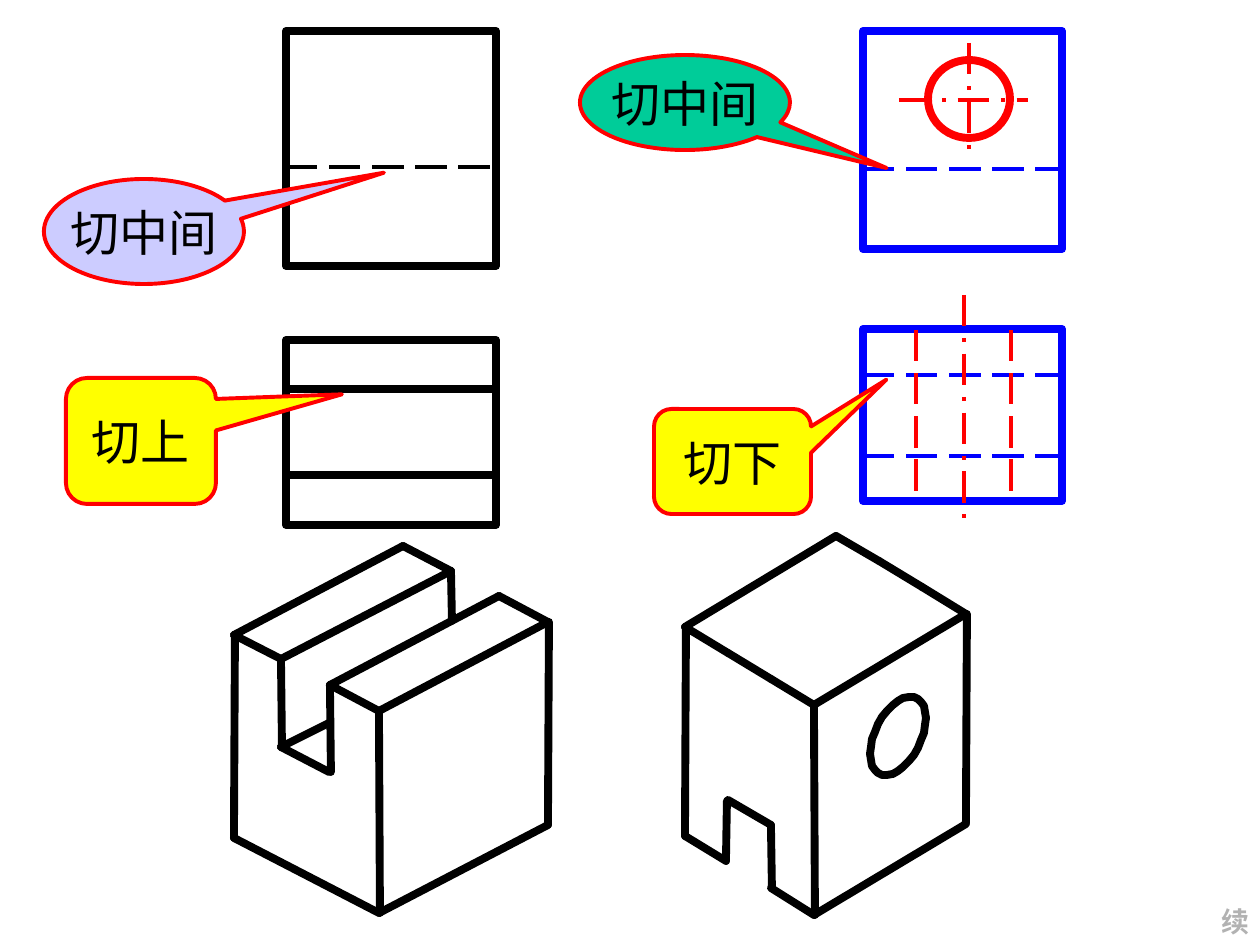
"""Build a slide of two cut blocks with their projected views and cutting hints."""
from math import cos, pi, sin

from lxml import etree
from pptx import Presentation
from pptx.dml.color import RGBColor
from pptx.enum.dml import MSO_LINE
from pptx.enum.shapes import MSO_CONNECTOR, MSO_SHAPE
from pptx.enum.text import MSO_ANCHOR, PP_ALIGN
from pptx.oxml.ns import qn
from pptx.util import Pt

PX = 914400 / 126
DASH, DASH_DOT = MSO_LINE.LONG_DASH, MSO_LINE.LONG_DASH_DOT
STRAIGHT = MSO_CONNECTOR.STRAIGHT
RECTANGLE, OVAL = MSO_SHAPE.RECTANGLE, MSO_SHAPE.OVAL
OVAL_CALLOUT = MSO_SHAPE.OVAL_CALLOUT
ROUND_CALLOUT = MSO_SHAPE.ROUNDED_RECTANGULAR_CALLOUT
CENTER, MIDDLE, TOP = PP_ALIGN.CENTER, MSO_ANCHOR.MIDDLE, MSO_ANCHOR.TOP
COLORS = {
    "black": "000000", "blue": "0000FF", "red": "FF0000", "green": "00CC99",
    "lilac": "CCCCFF", "yellow": "FFFF00", "gray": "B2B2B2",
}


def style_line(shape, color, width, dash=None):
    shape.line.color.rgb = RGBColor.from_string(COLORS[color])
    shape.line.width = Pt(width)
    if dash:
        shape.line.dash_style = dash


def write_text(shape, text, size=28, font="Noto Sans CJK SC", color="black",
               bold=False, anchor=MIDDLE):
    frame = shape.text_frame
    frame.word_wrap = False
    frame.vertical_anchor = anchor
    paragraph = frame.paragraphs[0]
    paragraph.alignment = CENTER
    run = paragraph.add_run()
    run.text = text
    run.font.size = Pt(size)
    run.font.bold = bold
    run.font.color.rgb = RGBColor.from_string(COLORS[color])
    run.font.name = font
    latin = run.font._element.find(qn("a:latin"))
    east_asian = etree.Element(qn("a:ea"), typeface="Noto Sans CJK SC")
    latin.addnext(east_asian)


deck = Presentation()
deck.slide_width, deck.slide_height = int(1260 * PX), int(945 * PX)
slide = deck.slides.add_slide(deck.slide_layouts[6])
shapes = slide.shapes

grooved_block = [
    (281, 747, 329, 772), (499, 596, 548, 622), (379, 913, 548, 825),
    (379, 913, 234, 838), (379, 711, 379, 913), (234, 635, 403, 546),
    (234, 635, 281, 659), (234, 838, 234, 635), (403, 546, 451, 571),
    (548, 622, 379, 711), (548, 825, 548, 622), (281, 659, 451, 571),
    (330, 685, 499, 596), (330, 685, 330, 772), (281, 659, 281, 747),
    (330, 685, 379, 711), (281, 747, 329, 723), (451, 571, 451, 621),
]
drilled_block = [
    (814, 915, 966, 824), (814, 915, 771, 888), (814, 705, 814, 915),
    (685, 836, 685, 627), (966, 823, 966, 614), (727, 801, 726, 861),
    (771, 825, 771, 888), (685, 627, 836, 536), (685, 627, 728, 653),
    (836, 536, 879, 561), (966, 614, 814, 705), (771, 679, 814, 705),
    (922, 587, 966, 614), (728, 653, 771, 679), (879, 561, 922, 587),
    (726, 861, 685, 836), (728, 800, 771, 825),
]
outlines = [
    [(x1, y1), (x2 + (x1 == x2), y2)]
    for x1, y1, x2, y2 in grooved_block + drilled_block
]
angles = [2 * pi * step / 32 for step in range(33)]
drilled_hole = [
    (898 + 28 * cos(angle), 736 - 18 * cos(angle) + 35 * sin(angle))
    for angle in angles
]
for points in outlines + [drilled_hole]:
    builder = shapes.build_freeform(*points[0], scale=PX)
    builder.add_line_segments(points[1:], close=False)
    edge = builder.convert_to_shape()
    edge.shadow.inherit = False
    edge.fill.background()
    style_line(edge, "black", 4.5)
    edge._element.spPr.find(qn("a:ln")).set("cap", "rnd")

for kind, box, color in [
    (RECTANGLE, (286, 31, 210, 235), "black"),
    (RECTANGLE, (286, 340, 210, 185), "black"),
    (RECTANGLE, (863, 31, 199, 218), "blue"),
    (RECTANGLE, (863, 329, 199, 172), "blue"),
    (OVAL, (928, 60, 82, 78), "red"),
]:
    view = shapes.add_shape(kind, *[int(length * PX) for length in box])
    view.shadow.inherit = False
    view.fill.background()
    style_line(view, color, 4.5)

for ends, color, width, dash in [
    ((286, 167, 496, 167), "black", 2.25, DASH),
    ((286, 475, 496, 475), "black", 4.5, None),
    ((286, 389, 496, 389), "black", 4.5, None),
    ((863, 169, 1062, 169), "blue", 2.25, DASH),
    ((863, 456, 1062, 456), "blue", 2.25, DASH),
    ((863, 375, 1062, 375), "blue", 2.25, DASH),
    ((899, 100, 1028, 100), "red", 2.25, DASH_DOT),
    ((969, 43, 969, 157), "red", 2.25, DASH_DOT),
    ((916, 330, 916, 501), "red", 2.25, DASH),
    ((1011, 330, 1011, 501), "red", 2.25, DASH),
    ((964, 295, 964, 525), "red", 2.25, DASH_DOT),
]:
    view_line = shapes.add_connector(STRAIGHT, *[int(end * PX) for end in ends])
    style_line(view_line, color, width, dash)
    etree.SubElement(view_line._element.spPr, qn("a:effectLst"))

for kind, box, pointer, color, hint in [
    (OVAL_CALLOUT, (580, 55, 210, 95), (0.96, 0.69), "green", "切中间"),
    (OVAL_CALLOUT, (44, 179, 200, 105), (1.2, -0.56), "lilac", "切中间"),
    (ROUND_CALLOUT, (66, 378, 150, 126), (1.34, -0.37), "yellow", "切上"),
    (ROUND_CALLOUT, (654, 409, 157, 105), (0.98, -0.78), "yellow", "切下"),
]:
    callout = shapes.add_shape(kind, *[int(length * PX) for length in box])
    callout.shadow.inherit = False
    callout.adjustments[0], callout.adjustments[1] = pointer
    callout.fill.solid()
    callout.fill.fore_color.rgb = RGBColor.from_string(COLORS[color])
    style_line(callout, "red", 2.25)
    write_text(callout, hint)

continued = shapes.add_textbox(*[int(length * PX) for length in (1209, 898, 53, 47)])
write_text(continued, "续", size=16, font="Times New Roman", color="gray",
           bold=True, anchor=TOP)

deck.save("out.pptx")
